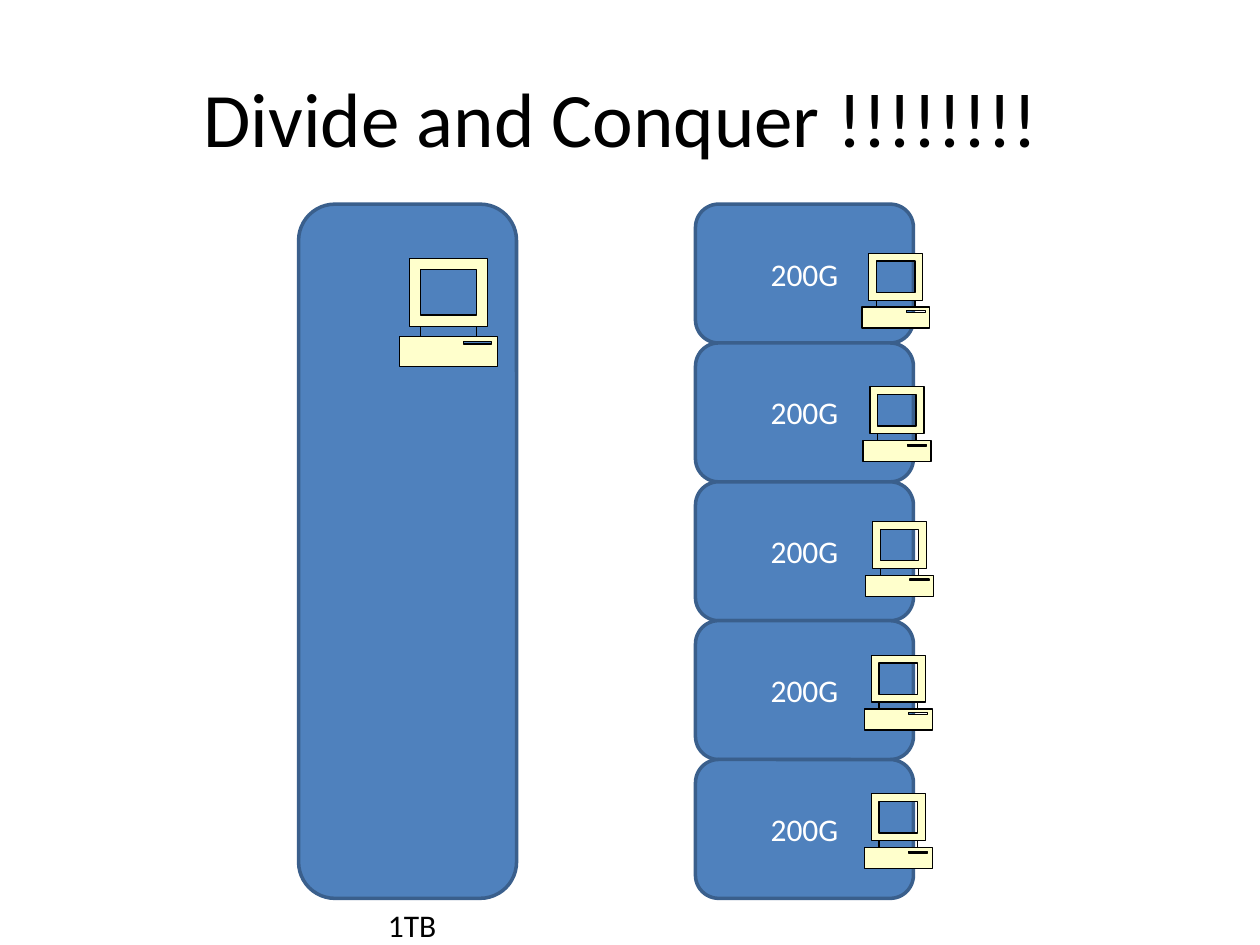
"""Slide contrasting one 1TB machine with five 200G machines."""
from lxml.etree import SubElement
from pptx import Presentation
from pptx.dml.color import RGBColor
from pptx.enum.shapes import MSO_SHAPE
from pptx.enum.text import MSO_ANCHOR, MSO_AUTO_SIZE, PP_ALIGN
from pptx.oxml.ns import qn
from pptx.util import Inches, Pt

BLACK = RGBColor(0x00, 0x00, 0x00)
WHITE = RGBColor(0xFF, 0xFF, 0xFF)
BLUE = RGBColor(0x4F, 0x81, 0xBD)
DARK_BLUE = RGBColor(0x3A, 0x5F, 0x8C)
CREAM = RGBColor(0xFF, 0xFF, 0xCC)

CASE = [(61, 62), (61, 54), (70, 54), (70, 0), (8, 0), (8, 54),
        (17, 54), (17, 62), (0, 62), (0, 86), (78, 86), (78, 62)]
NECK = [(17, 62), (17, 54), (61, 54), (61, 62)]
SCREEN = [(17, 45), (17, 9), (61, 9), (61, 45)]
DRIVE = [(51, 68), (51, 66), (73, 66), (73, 68)]

STACK_TOP, STACK_HEIGHT, BLOCK_WIDTH = 1.62, 5.51, 1.73
PARTS = 5
PART_HEIGHT = STACK_HEIGHT / PARTS

prs = Presentation()
prs.slide_width, prs.slide_height = Inches(10), Inches(7.5)
slide = prs.slides.add_slide(prs.slide_layouts[5])
shapes = slide.shapes


def add_block(left, top, height, label=""):
    block = shapes.add_shape(MSO_SHAPE.ROUNDED_RECTANGLE, Inches(left), Inches(top),
                             Inches(BLOCK_WIDTH), Inches(height))
    block.shadow.inherit = False
    block.fill.solid()
    block.fill.fore_color.rgb = BLUE
    block.line.color.rgb = DARK_BLUE
    block.line.width = Pt(2)
    if label:
        block.text_frame.text = label
        block.text_frame.vertical_anchor = MSO_ANCHOR.MIDDLE
        caption = block.text_frame.paragraphs[0]
        caption.alignment = PP_ALIGN.CENTER
        caption.font.name = "Calibri"
        caption.font.size = Pt(18)
        caption.font.color.rgb = WHITE


def add_computer(left, top, size):
    builder = shapes.build_freeform(*CASE[0], scale=Inches(0.01) * size)
    builder.add_line_segments(CASE[1:])
    for contour in (NECK, SCREEN, DRIVE):
        builder.move_to(*contour[0])
        builder.add_line_segments(contour[1:])
    computer = builder.convert_to_shape(Inches(left), Inches(top))
    computer.shadow.inherit = False
    computer.fill.solid()
    computer.fill.fore_color.rgb = CREAM
    computer.line.color.rgb = BLACK
    computer.line.width = Pt(0.75)

    outlines = computer.element.find(".//" + qn("a:pathLst"))
    current = outlines[0]
    for command in list(current):
        if command.tag == qn("a:moveTo") and command is not outlines[0][0]:
            current = SubElement(outlines, qn("a:path"), dict(outlines[0].attrib))
        current.append(command)


title = shapes.title
title.left, title.top = Inches(0.5), Inches(0.3)
title.width, title.height = Inches(9), Inches(1.25)
title.text_frame.text = "Divide and Conquer !!!!!!!! "
title.text_frame.vertical_anchor = MSO_ANCHOR.MIDDLE
heading = title.text_frame.paragraphs[0]
heading.alignment = PP_ALIGN.CENTER
heading.font.name = "Calibri"
heading.font.size = Pt(44)
heading.font.color.rgb = BLACK

add_block(2.37, STACK_TOP, STACK_HEIGHT)

total = shapes.add_textbox(Inches(2.98), Inches(7.14), Inches(0.59), Inches(0.4))
total.text_frame.text = "1TB"
total.text_frame.word_wrap = False
total.text_frame.auto_size = MSO_AUTO_SIZE.SHAPE_TO_FIT_TEXT
total_label = total.text_frame.paragraphs[0]
total_label.font.name = "Calibri"
total_label.font.size = Pt(18)
total_label.font.color.rgb = BLACK

for part in range(PARTS):
    add_block(5.52, STACK_TOP + part * PART_HEIGHT, PART_HEIGHT, "200G")

for left, top in [(6.84, 2.01), (6.85, 3.07), (6.87, 4.14), (6.86, 5.2), (6.86, 6.3)]:
    add_computer(left, top, 0.69)
add_computer(3.17, 2.05, 1)

prs.save("out.pptx")
